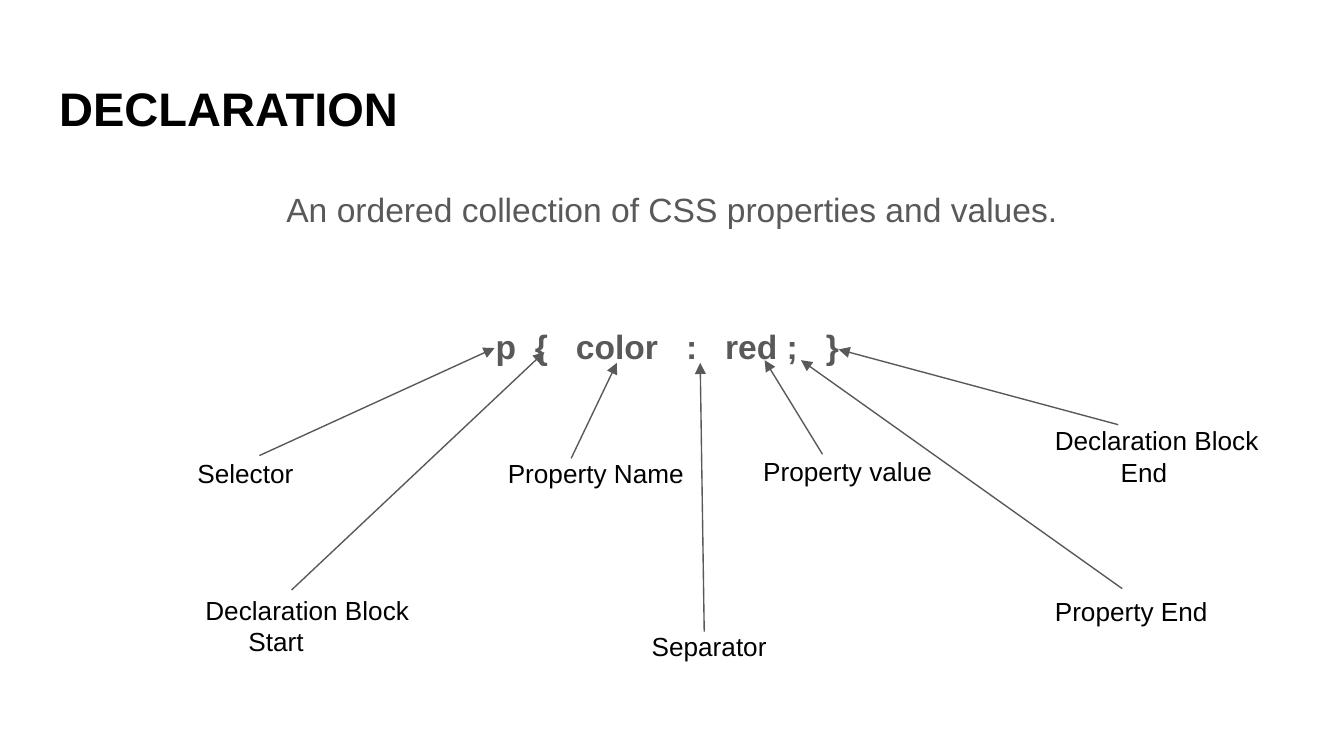
import pptx
import pptx.dml.color
import pptx.enum.shapes
import pptx.enum.text
import pptx.oxml
import pptx.oxml.ns
import pptx.util

Inches = pptx.util.Inches
Pt = pptx.util.Pt
ALIGN = pptx.enum.text.PP_ALIGN
COLORS = {"title": "000000", "body": "595959", "label": "000000", "arrow": "595959"}
FONT = "Arial"
CODE_SPACE = 5

CODE = [("p", 2), ("{", 3), ("color", 3), (":", 3), ("red", 1), (";", 3), ("}", 1)]

CALLOUTS = [
    (["Selector"], 0, (0.37, 0.80, 9.22), (0.93, 0.89), (2.68, 0.09)),
    (["Declaration Block", "Start"], 0.32, (0.43, 1.82, 8.23), (1.17, 1.89), (3.05, 0.12)),
    (["Property Name"], 0, (2.68, 0.80, 5.98), (3.25, 0.91), (3.59, 0.20)),
    (["Separator"], 0, (3.75, 2.09, 5.29), (4.24, 2.20), (4.21, 0.20)),
    (["Property value"], 0, (4.58, 0.79, 4.21), (5.12, 0.88), (4.69, 0.18)),
    (["Property End"], 0, (6.75, 1.83, 2.28), (7.35, 1.88), (4.96, 0.18)),
    (["Declaration Block", "End"], 0.49, (6.75, 0.56, 2.03), (7.32, 0.66), (5.24, 0.10)),
]


def rgb(name):
    """Return the named colour."""
    return pptx.dml.color.RGBColor.from_string(COLORS[name])


def style_paragraph(paragraph, size, color, bold=False, align=ALIGN.LEFT):
    """Set the font and alignment of a paragraph."""
    font = paragraph.font
    font.name, font.size, font.bold = FONT, Pt(size), bold
    font.color.rgb = rgb(color)
    paragraph.alignment = align


def prepare_frame(shape):
    """Give a text shape equal insets, wrapping and top anchoring."""
    frame = shape.text_frame
    frame.word_wrap = True
    frame.auto_size = pptx.enum.text.MSO_AUTO_SIZE.NONE
    frame.vertical_anchor = pptx.enum.text.MSO_ANCHOR.TOP
    frame.margin_left = frame.margin_right = Inches(0.1)
    frame.margin_top = frame.margin_bottom = Inches(0.1)
    return frame


def add_text_box(slide, left, top, width, height):
    """Add a text box and return its text frame."""
    box = slide.shapes.add_textbox(Inches(left), Inches(top), Inches(width), Inches(height))
    return prepare_frame(box)


def place_title(slide, left, top, width, height):
    """Place the slide title."""
    title = slide.shapes.title
    title.left, title.top = Inches(left), Inches(top)
    title.width, title.height = Inches(width), Inches(height)
    frame = prepare_frame(title)
    frame.text = "DECLARATION"
    style_paragraph(frame.paragraphs[0], 25.2, "title", bold=True)


def add_body(slide, left, top, width, height):
    """Add the definition and the code sample below it."""
    frame = add_text_box(slide, left, top, width, height)
    definition = frame.paragraphs[0]
    definition.text = "An ordered collection of CSS properties and values."
    style_paragraph(definition, 18, "body", align=ALIGN.CENTER)
    code = frame.add_paragraph()
    style_paragraph(code, 18, "body", bold=True, align=ALIGN.CENTER)
    code.space_before = Pt(48.5)
    for token, gap in CODE:
        code.add_run().text = token
        space = code.add_run()
        space.text = " "
        space.font._element.set("spc", str((gap - 1) * CODE_SPACE * 100))
    for paragraph in frame.paragraphs:
        paragraph.line_spacing = 1.15


def add_arrow(slide, start, tip):
    """Add a thin line with a triangle head at its tip."""
    arrow = slide.shapes.add_connector(
        pptx.enum.shapes.MSO_CONNECTOR.STRAIGHT, *map(Inches, start + tip))
    arrow.line.color.rgb = rgb("arrow")
    arrow.line.width = Pt(0.75)
    head = pptx.oxml.parse_xml(
        f'<a:tailEnd {pptx.oxml.ns.nsdecls("a")} type="triangle" w="med" len="med"/>')
    arrow.line._get_or_add_ln().append(head)
    effects = pptx.oxml.parse_xml(f'<a:effectLst {pptx.oxml.ns.nsdecls("a")}/>')
    arrow._element.spPr.append(effects)


def add_label(slide, lines, indent, left, top, width):
    """Add a label whose second line is indented."""
    height = 0.22 + 0.22 * len(lines)
    frame = add_text_box(slide, left, top, width, height)
    frame.text = "\n".join(lines)
    for paragraph in frame.paragraphs:
        style_paragraph(paragraph, 14, "label")
    for paragraph in frame.paragraphs[1:]:
        paragraph._p.get_or_add_pPr().set("marL", str(Inches(indent)))


def add_callouts(slide, left, top):
    """Add the arrows and labels that explain the code sample."""
    for lines, indent, (x, y, width), start, tip in CALLOUTS:
        start, tip = [(left + px, top + py) for px, py in (start, tip)]
        add_arrow(slide, start, tip)
        add_label(slide, lines, indent, left + x, top + y, width)


def main():
    """Build and save the widescreen slide."""
    presentation = pptx.Presentation()
    presentation.slide_width = Inches(10)
    presentation.slide_height = Inches(10 * 9 / 16)
    slide = presentation.slides.add_slide(presentation.slide_layouts[5])
    place_title(slide, 0.34, 0.49, 9.32, 0.63)
    add_body(slide, 0.34, 1.26, 9.32, 3.74)
    add_callouts(slide, 1, 2.5)
    presentation.save("out.pptx")


if __name__ == "__main__":
    main()
